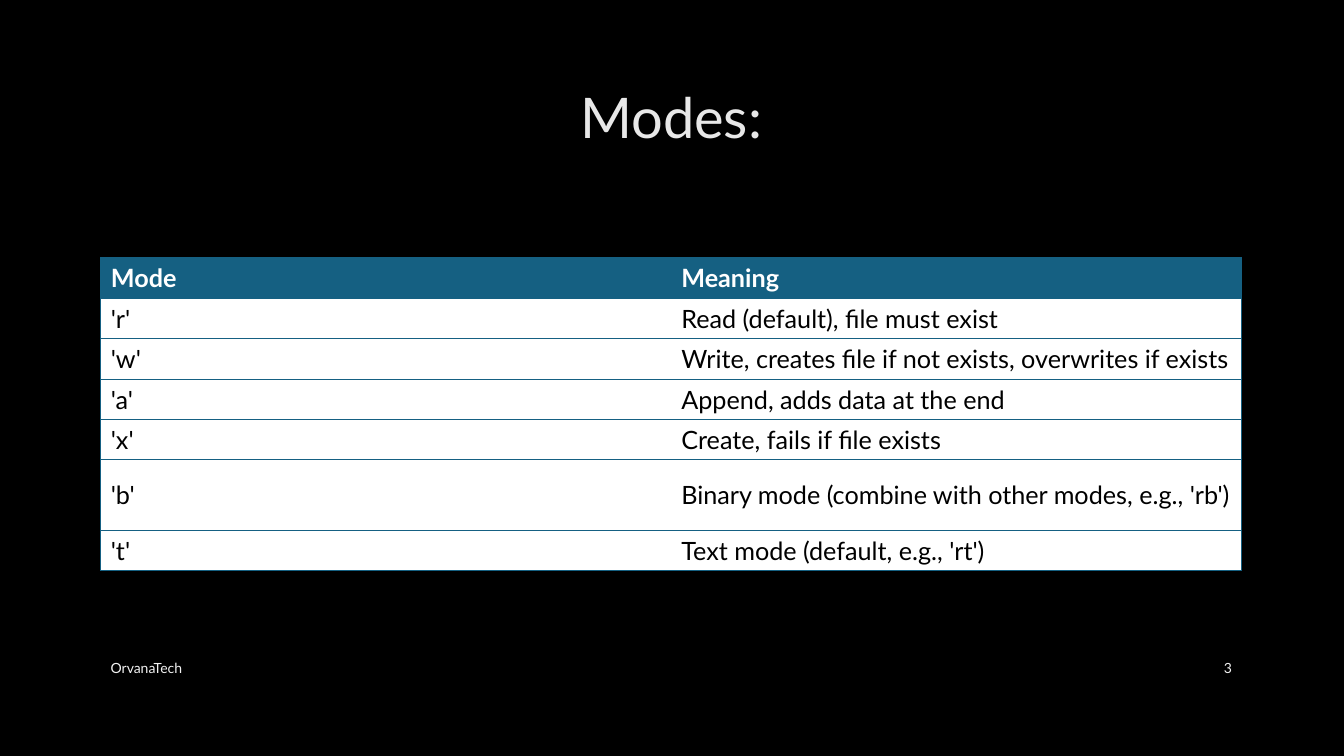
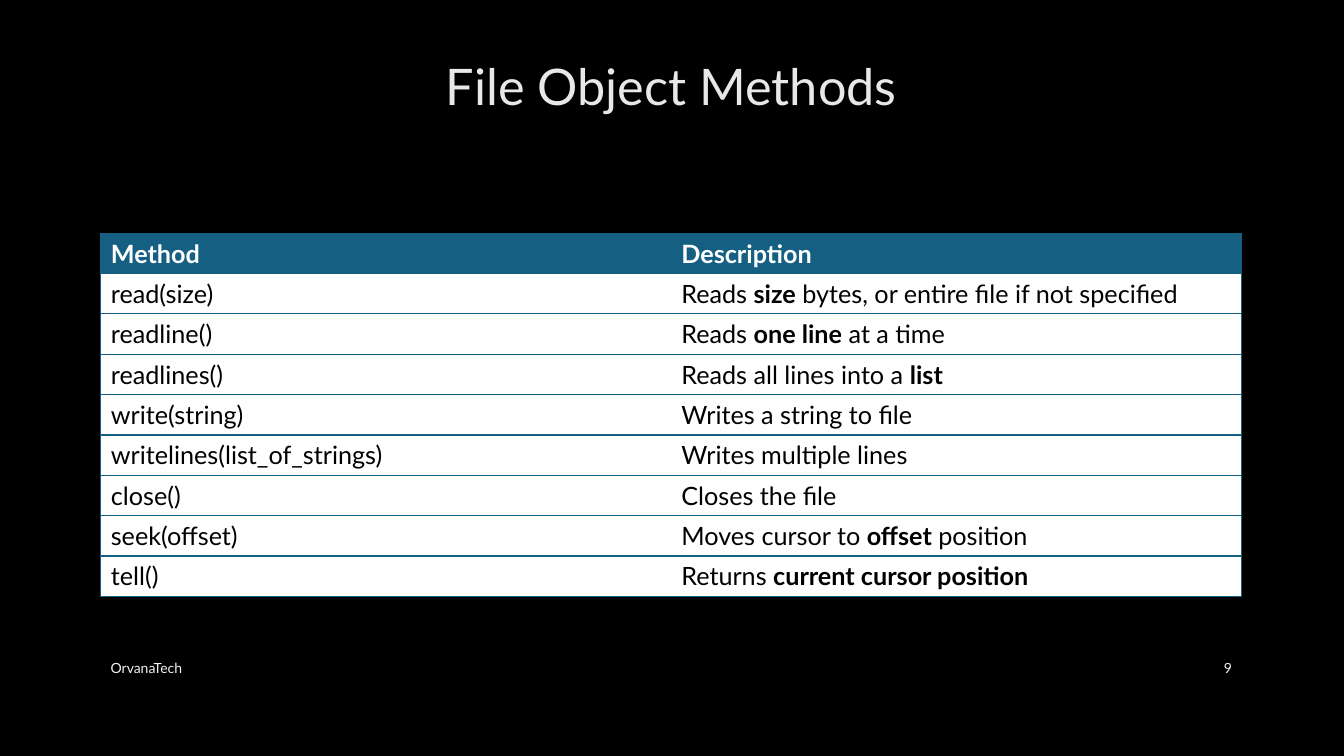
from lxml import etree
from pptx import Presentation
from pptx.dml.color import RGBColor
from pptx.enum.text import MSO_ANCHOR, PP_ALIGN
from pptx.oxml.ns import qn
from pptx.util import Pt

LEFT, CENTER, RIGHT = PP_ALIGN.LEFT, PP_ALIGN.CENTER, PP_ALIGN.RIGHT
TOP, MIDDLE = MSO_ANCHOR.TOP, MSO_ANCHOR.MIDDLE
TITLE_ONLY = 5


def color(value):
    return RGBColor.from_string(value)


class Deck:
    """Shared style and the slide being built."""

    FONT = "Lato"
    BLACK, WHITE, TEAL = "000000", "FFFFFF", "156082"
    TITLE_COLOR, FOOTER_COLOR = "E8E8E8", "F2F2F2"
    MARGIN, WIDTH = 72, 815
    ROW_HEIGHT = 28.8
    FOOTER = "OrvanaTech"

    def __init__(self):
        self.presentation = Presentation()
        self.presentation.slide_width = Pt(960)
        self.presentation.slide_height = Pt(540)
        background = self.presentation.slide_master.background.fill
        background.solid()
        background.fore_color.rgb = color(self.BLACK)
        self.slide = None

    def add_text(self, paragraph, text, size, text_color, align=LEFT, bold=False):
        """Add text in the deck font; parts between ** marks are bold."""
        paragraph.alignment = align
        for index, part in enumerate(text.split("**")):
            if part:
                run = paragraph.add_run()
                run.text = part
                run.font.name = self.FONT
                run.font.size = Pt(size)
                run.font.bold = bold or index % 2 == 1
                run.font.color.rgb = color(text_color)

    def add_slide(self, title, number, title_size=40, title_top=48, title_anchor=MIDDLE):
        layout = self.presentation.slide_layouts[TITLE_ONLY]
        self.slide = self.presentation.slides.add_slide(layout)
        self.title(title, title_size, title_top, title_anchor)
        self.footer_text(self.FOOTER, self.MARGIN, 525.6, LEFT)
        self.footer_text(str(number), 828, 59, RIGHT)

    def title(self, text, size, top, anchor):
        shape = self.slide.shapes.title
        shape.left, shape.top = Pt(self.MARGIN), Pt(top)
        shape.width, shape.height = Pt(self.WIDTH), Pt(76.4)
        frame = shape.text_frame
        frame.vertical_anchor = anchor
        frame.margin_top = frame.margin_bottom = 0
        frame.paragraphs[0].line_spacing = 0.9
        self.add_text(frame.paragraphs[0], text, size, self.TITLE_COLOR, CENTER)

    def footer_text(self, text, left, width, align):
        box = self.slide.shapes.add_textbox(Pt(left), Pt(463), Pt(width), Pt(28.8))
        frame = box.text_frame
        frame.word_wrap = True
        frame.vertical_anchor = MIDDLE
        self.add_text(frame.paragraphs[0], text, 10, self.FOOTER_COLOR, align)

    def borders(self, cell, sides):
        """Draw the named sides (L, R, T, B) and clear the others."""
        properties = cell._tc.get_or_add_tcPr()
        for side in "LRTB":
            line = etree.SubElement(properties, qn(f"a:ln{side}"), w=str(Pt(1)))
            if side in sides:
                fill = etree.SubElement(line, qn("a:solidFill"))
                etree.SubElement(fill, qn("a:srgbClr"), val=self.TEAL)
            else:
                etree.SubElement(line, qn("a:noFill"))

    def table(self, top, rows, tall_rows=None):
        """Two equal columns, header first; tall_rows maps row index to height."""
        heights = [self.ROW_HEIGHT] * len(rows)
        for index, height in (tall_rows or {}).items():
            heights[index] = height
        table = self.slide.shapes.add_table(
            len(rows), 2, Pt(self.MARGIN), Pt(top), Pt(self.WIDTH), Pt(sum(heights))
        ).table
        for column in table.columns:
            column.width = Pt(self.WIDTH / 2)
        for row_index, texts in enumerate(rows):
            table.rows[row_index].height = Pt(heights[row_index])
            header = row_index == 0
            for column_index, text in enumerate(texts):
                cell = table.cell(row_index, column_index)
                self.borders(cell, ("LTB", "RTB")[column_index])
                cell.fill.solid()
                cell.fill.fore_color.rgb = color(self.TEAL if header else self.WHITE)
                cell.vertical_anchor = MIDDLE
                text_color = self.WHITE if header else self.BLACK
                self.add_text(cell.text_frame.paragraphs[0], text, 18, text_color, bold=header)


def main():
    deck = Deck()

    # File modes
    deck.add_slide("Modes:", 3)
    deck.table(184.3, [
        ("Mode", "Meaning"),
        ("'r'", "Read (default), file must exist"),
        ("'w'", "Write, creates file if not exists, overwrites if exists"),
        ("'a'", "Append, adds data at the end"),
        ("'x'", "Create, fails if file exists"),
        ("'b'", "Binary mode (combine with other modes, e.g., 'rb')"),
        ("'t'", "Text mode (default, e.g., 'rt')"),
    ], tall_rows={5: 50.4})

    # File object methods
    deck.add_slide("File Object Methods", 9, title_size=36, title_top=44, title_anchor=TOP)
    deck.table(166.5, [
        ("Method", "Description"),
        ("read(size)", "Reads **size** bytes, or entire file if not specified"),
        ("readline()", "Reads **one line** at a time"),
        ("readlines()", "Reads all lines into a **list**"),
        ("write(string)", "Writes a string to file"),
        ("writelines(list_of_strings)", "Writes multiple lines"),
        ("close()", "Closes the file"),
        ("seek(offset)", "Moves cursor to **offset** position"),
        ("tell()", "Returns **current cursor position**"),
    ])

    deck.presentation.save("out.pptx")


if __name__ == "__main__":
    main()
